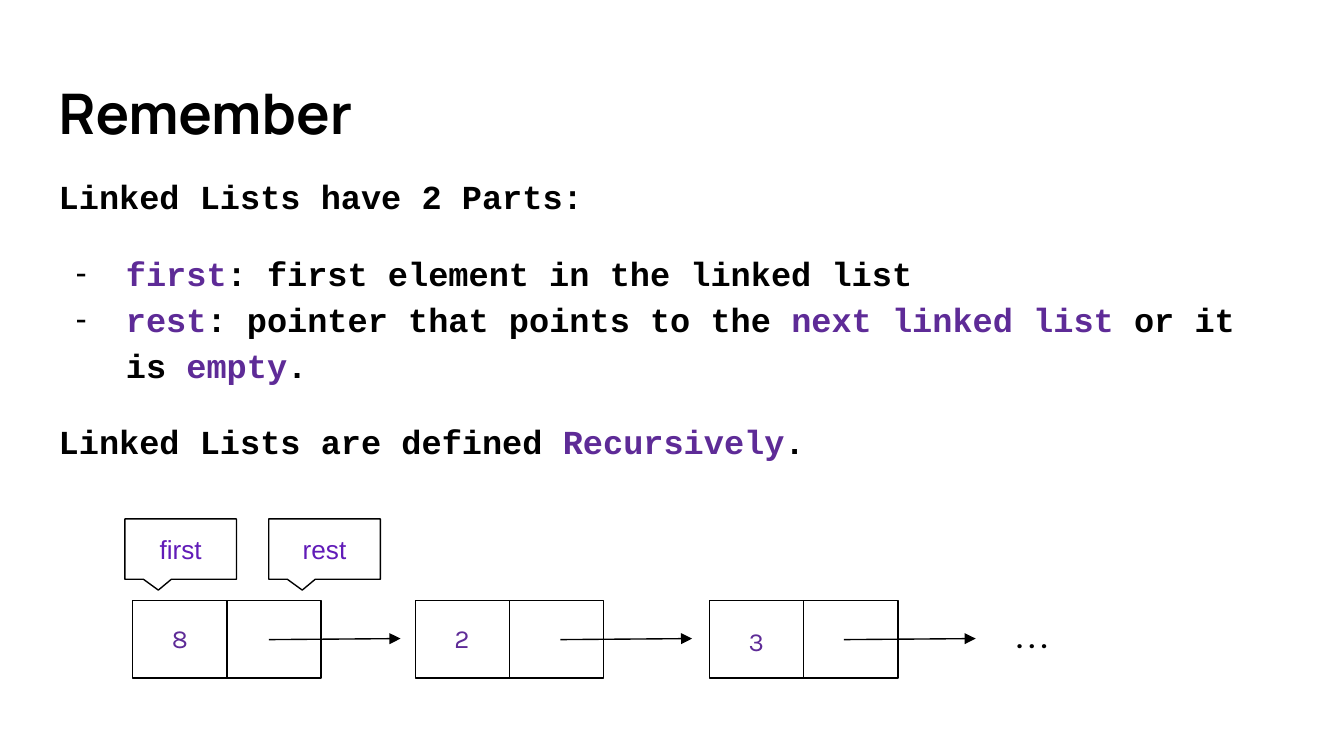
from lxml import etree
from pptx import Presentation
from pptx.dml.color import RGBColor
from pptx.enum import shapes, text
from pptx.oxml.ns import qn
from pptx.util import Cm, Pt

COLORS = {"ink": "000000", "paper": "FFFFFF", "accent": "5E2B97", "label": "611BB8"}

# Content: body runs are (text, color)
TITLE = "Remember"
BODY = [
    {"runs": [("Linked Lists have 2 Parts:", "ink")]},
    {"runs": [("first", "accent"), (": first element in the linked list", "ink")],
     "bullet": True, "before": 16},
    {"runs": [("rest", "accent"), (": pointer that points to the ", "ink"),
              ("next linked list", "accent"), (" or it is ", "ink"),
              ("empty", "accent"), (".", "ink")], "bullet": True},
    {"runs": [("Linked Lists are defined ", "ink"), ("Recursively", "accent"),
              (".", "ink")], "before": 16, "after": 16},
]
# Value, node left, value top, arrow start (cm)
NODES = [("8", 2.51, 11.51, 5.08), ("2", 7.85, 11.51, 10.59), ("3", 13.41, 11.58, 15.95)]
CALLOUTS = [("first", 2.36), ("rest", 5.08)]
ELLIPSIS = ". . ."

# Layout (cm)
MARGIN, TEXT_WIDTH = 0.86, 23.67
NODE_TOP, NODE_WIDTH, NODE_HEIGHT = 11.35, 3.56, 1.47
VALUE_OFFSET, VALUE_WIDTH, VALUE_HEIGHT = 0.49, 1.0, 0.84
ARROW_TOP, ARROW_LENGTH, ARROW_RISE = 12.09, 2.49, 0.02
CALLOUT_TOP, CALLOUT_WIDTH, CALLOUT_HEIGHT = 9.81, 2.11, 1.14


def color(name):
    return RGBColor.from_string(COLORS[name])


def style(font, name, size, color_name, bold=False):
    font.name, font.size, font.bold = name, Pt(size), bold
    font.color.rgb = color(color_name)


def prepare_frame(text_frame):
    text_frame.word_wrap = True
    text_frame.margin_left = text_frame.margin_right = Cm(0.25)
    text_frame.margin_top = text_frame.margin_bottom = Cm(0.25)
    return text_frame


def add_text(left, top, width, height, content="", *font):
    box = slide.shapes.add_textbox(Cm(left), Cm(top), Cm(width), Cm(height))
    text_frame = prepare_frame(box.text_frame)
    if content:
        text_frame.text = content
        style(text_frame.paragraphs[0].runs[0].font, *font)
    return text_frame


def add_box(kind, left, top, width, height):
    shape = slide.shapes.add_shape(kind, Cm(left), Cm(top), Cm(width), Cm(height))
    shape.shadow.inherit = False
    shape.fill.solid()
    shape.fill.fore_color.rgb = color("paper")
    shape.line.color.rgb = color("ink")
    shape.line.width = Pt(0.75)
    return shape


def add_line(x1, y1, x2, y2, arrow=False):
    line = slide.shapes.add_connector(
        shapes.MSO_CONNECTOR.STRAIGHT, Cm(x1), Cm(y1), Cm(x2), Cm(y2))
    line.line.color.rgb = color("ink")
    line.line.width = Pt(0.75)
    if arrow:
        etree.SubElement(line.line._get_or_add_ln(), qn("a:tailEnd"), type="triangle")
    etree.SubElement(line._element.spPr, qn("a:effectLst"))
    return line


def add_bullet(paragraph):
    properties = paragraph._p.get_or_add_pPr()
    properties.set("marL", str(Cm(1.27)))
    properties.set("indent", str(-Cm(0.95)))
    bullet_color = etree.SubElement(properties, qn("a:buClr"))
    etree.SubElement(bullet_color, qn("a:srgbClr"), val=COLORS["ink"])
    etree.SubElement(properties, qn("a:buFont"), typeface="Arial")
    etree.SubElement(properties, qn("a:buChar"), char="-")


presentation = Presentation()
presentation.slide_width, presentation.slide_height = Cm(25.4), Cm(14.29)
slide = presentation.slides.add_slide(presentation.slide_layouts[6])

# Title
add_text(MARGIN, 1.24, TEXT_WIDTH, 1.73, TITLE, "Manrope", 30, "ink", True)

# Body
body = add_text(MARGIN, 2.97, TEXT_WIDTH, 5.54)
for index, item in enumerate(BODY):
    paragraph = body.add_paragraph() if index else body.paragraphs[0]
    if item.get("bullet"):
        add_bullet(paragraph)
    paragraph.line_spacing = 1.15
    paragraph.space_before = Pt(item.get("before", 0))
    paragraph.space_after = Pt(item.get("after", 0))
    for content, color_name in item["runs"]:
        run = paragraph.add_run()
        run.text = content
        style(run.font, "Courier New", 18, color_name, True)

# Linked list nodes
for value, left, value_top, arrow_left in NODES:
    node = add_box(shapes.MSO_SHAPE.RECTANGLE, left, NODE_TOP, NODE_WIDTH, NODE_HEIGHT)
    middle = left + NODE_WIDTH / 2
    divider = add_line(middle, NODE_TOP, middle, NODE_TOP + NODE_HEIGHT)
    divider.begin_connect(node, 0)
    divider.end_connect(node, 2)
    add_text(left + VALUE_OFFSET, value_top, VALUE_WIDTH, VALUE_HEIGHT,
             value, "Karla", 14, "accent")
    add_line(arrow_left, ARROW_TOP, arrow_left + ARROW_LENGTH,
             ARROW_TOP - ARROW_RISE, arrow=True)
add_text(18.97, 11.51, 2.49, VALUE_HEIGHT, ELLIPSIS, "Karla", 14, "ink", True)

# Callouts naming the two parts
for label, left in CALLOUTS:
    callout = add_box(shapes.MSO_SHAPE.ROUNDED_RECTANGULAR_CALLOUT,
                      left, CALLOUT_TOP, CALLOUT_WIDTH, CALLOUT_HEIGHT)
    for index, adjustment in enumerate((-0.2, 0.68, 0)):
        callout.adjustments[index] = adjustment
    text_frame = prepare_frame(callout.text_frame)
    text_frame.vertical_anchor = text.MSO_ANCHOR.MIDDLE
    text_frame.text = label
    text_frame.paragraphs[0].alignment = text.PP_ALIGN.CENTER
    style(text_frame.paragraphs[0].runs[0].font, "Arial", 14, "label")

presentation.save("out.pptx")
